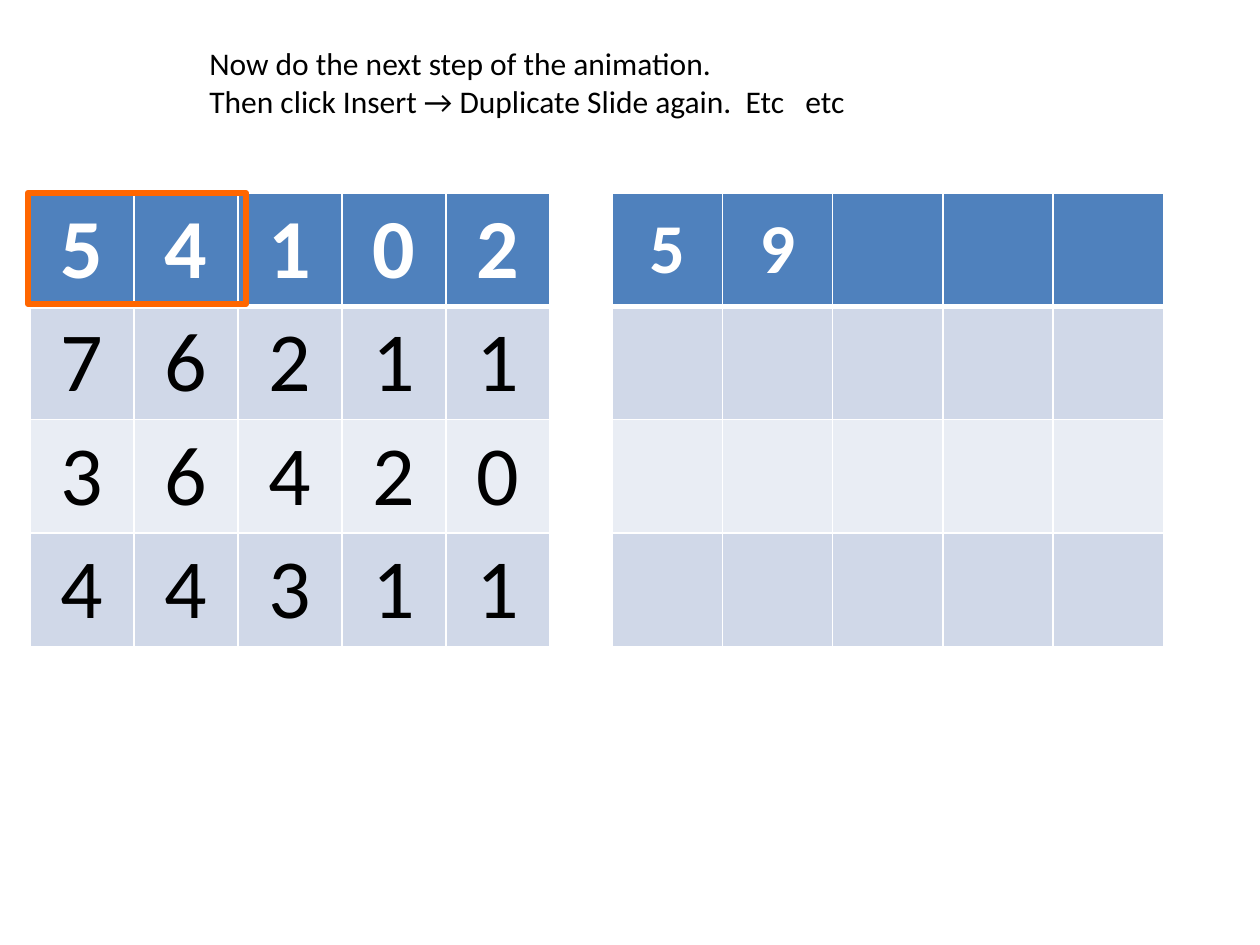
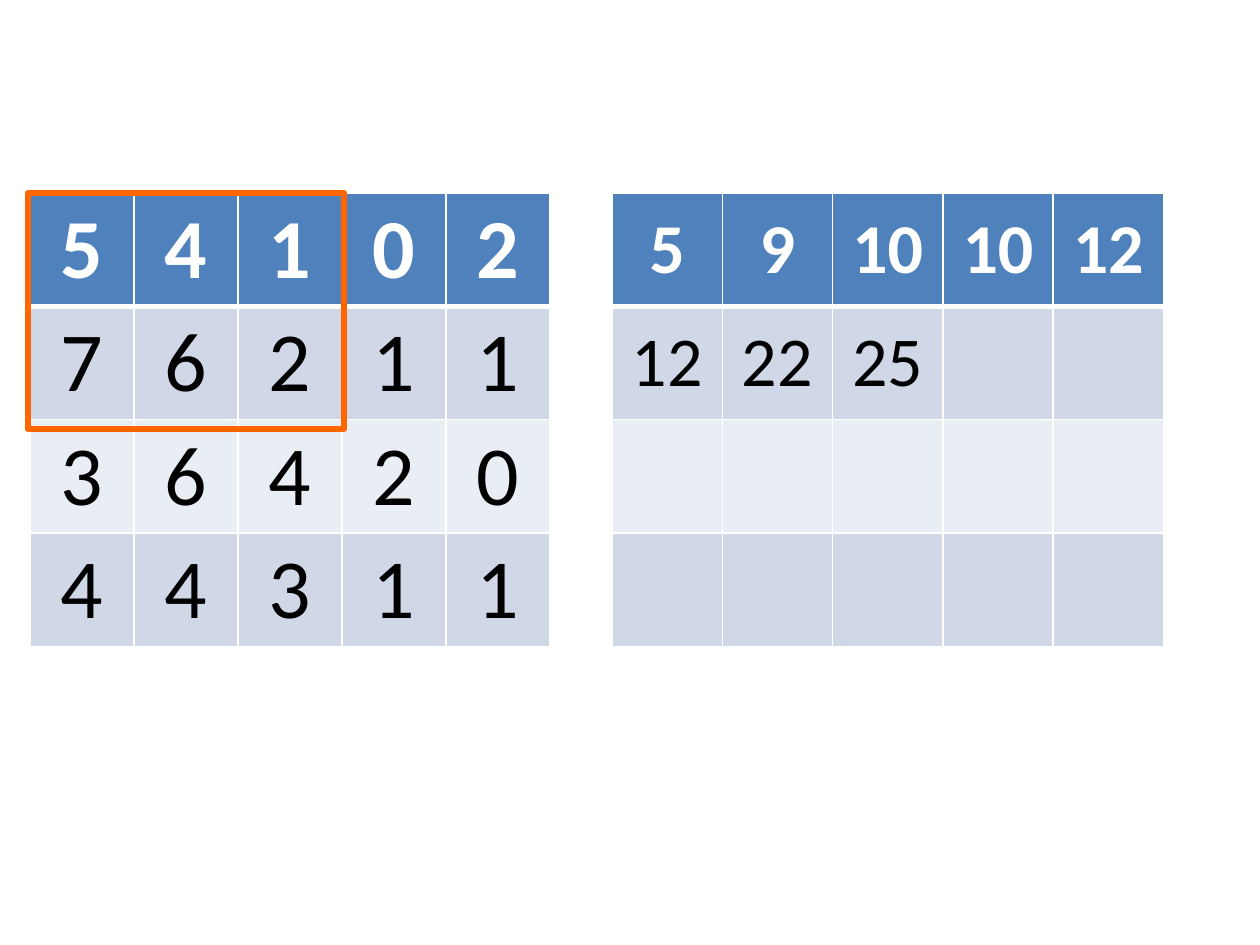
import pptx
import pptx.util
import pptx.dml.color
import pptx.enum.shapes
import pptx.enum.text
import pptx.oxml.ns
from dataclasses import dataclass
from lxml import etree

SCALE = 914400 // 126


@dataclass(frozen=True)
class Theme:
    font: str = "Calibri"
    head: str = "4F81BD"
    dark: str = "D0D8E8"
    light: str = "E9EDF4"
    white: str = "FFFFFF"
    black: str = "000000"
    frame: str = "FF6600"
    note: int = 18
    small: int = 40
    large: int = 48
    thin: int = 1
    thick: int = 3
    frame_width: float = 3.5


THEME = Theme()
TOP = 193
ROW = 113.4
COLS = 5
VALUES = ["54102", "76211", "36420", "44311"]


def px(size):
    return pptx.util.Emu(round(size * SCALE))


def rgb(color):
    return pptx.dml.color.RGBColor.from_string(color)


def put_text(frame, text, size=THEME.note, color=THEME.black, bold=False,
             align=pptx.enum.text.PP_ALIGN.LEFT):
    for i, line in enumerate(text.split("\n")):
        para = frame.paragraphs[0] if i == 0 else frame.add_paragraph()
        para.alignment = align
        run = para.add_run()
        run.text = line
        font = run.font
        font.name, font.size, font.bold = THEME.font, pptx.util.Pt(size), bold
        font.color.rgb = rgb(color)


def set_border(cell, row):
    props = cell._tc.get_or_add_tcPr()
    qn = pptx.oxml.ns.qn
    widths = {"L": THEME.thin, "R": THEME.thin,
              "T": THEME.thick if row == 1 else THEME.thin,
              "B": THEME.thick if row == 0 else THEME.thin}
    for i, (side, width) in enumerate(widths.items()):
        line = etree.Element(qn("a:ln" + side), w=str(pptx.util.Pt(width)))
        fill = etree.SubElement(line, qn("a:solidFill"))
        etree.SubElement(fill, qn("a:srgbClr"), val=THEME.white)
        props.insert(i, line)


def add_grid(slide, left, width, values, size):
    shape = slide.shapes.add_table(len(VALUES), COLS, px(left), px(TOP),
                                   px(width * COLS), px(ROW * len(VALUES)))
    table = shape.table
    for col in table.columns:
        col.width = px(width)
    for r, row in enumerate(table.rows):
        row.height = px(ROW)
        texts = values[r] if r < len(values) else []
        band = THEME.dark if r % 2 else THEME.light
        for c, cell in enumerate(row.cells):
            cell.fill.solid()
            cell.fill.fore_color.rgb = rgb(band if r else THEME.head)
            set_border(cell, r)
            cell.margin_top = cell.margin_bottom = 0
            cell.vertical_anchor = pptx.enum.text.MSO_ANCHOR.MIDDLE
            if c < len(texts):
                put_text(cell.text_frame, texts[c], size=size, bold=r == 0,
                         color=THEME.black if r else THEME.white,
                         align=pptx.enum.text.PP_ALIGN.CENTER)


def add_frame(slide, width, height):
    shape = slide.shapes.add_shape(pptx.enum.shapes.MSO_SHAPE.RECTANGLE,
                                   px(28), px(TOP), px(width), px(height))
    shape.shadow.inherit = False
    shape.fill.background()
    shape.line.color.rgb = rgb(THEME.frame)
    shape.line.width = pptx.util.Pt(THEME.frame_width)


def add_note(slide, text):
    frame = slide.shapes.add_textbox(px(197), px(38), px(670), px(89)).text_frame
    frame.word_wrap = False
    frame.auto_size = pptx.enum.text.MSO_AUTO_SIZE.SHAPE_TO_FIT_TEXT
    put_text(frame, text)


def add_step(deck, frame, sums):
    slide = deck.slides.add_slide(deck.slide_layouts[6])
    add_grid(slide, 30, 104, VALUES, THEME.large)
    add_grid(slide, 612, 110.3, sums, THEME.small)
    add_frame(slide, *frame)
    return slide


def main():
    deck = pptx.Presentation()
    deck.slide_width, deck.slide_height = px(1260), px(945)
    first = add_step(deck, (218, 111), [["5", "9"]])
    add_note(first, "Now do the next step of the animation.\n"
                    "Then click Insert → Duplicate Slide again.  Etc   etc")
    add_step(deck, (316, 236), [["5", "9", "10", "10", "12"], ["12", "22", "25"]])
    deck.save("out.pptx")


main()
